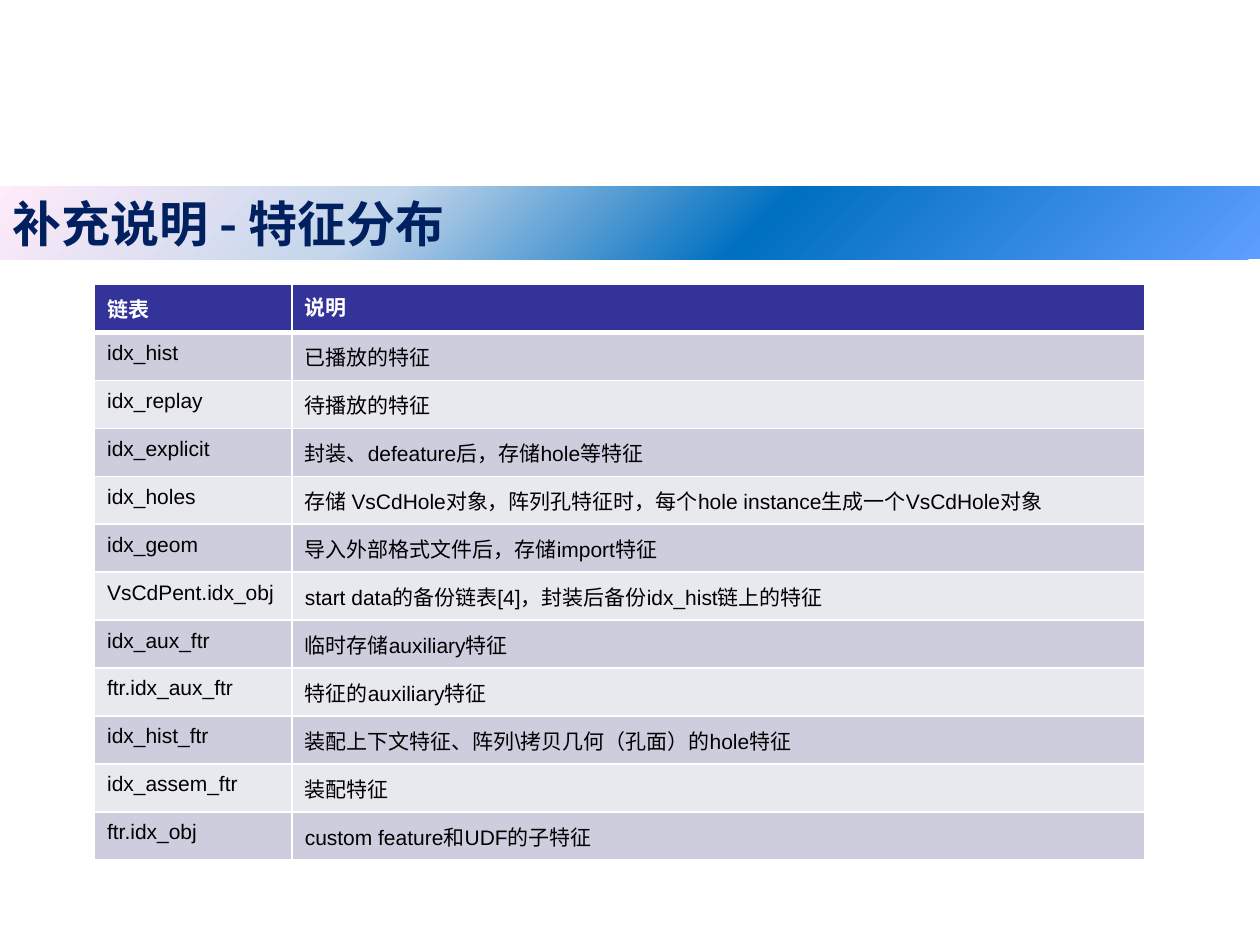
from lxml.etree import SubElement
from pptx import Presentation
from pptx.dml.color import RGBColor
from pptx.enum.shapes import MSO_SHAPE
from pptx.enum.text import MSO_ANCHOR, PP_ALIGN
from pptx.oxml.ns import qn
from pptx.util import Pt

WHITE = RGBColor(0xFF, 0xFF, 0xFF)
BLACK = RGBColor(0x00, 0x00, 0x00)
NAVY = RGBColor(0x00, 0x20, 0x60)
INDIGO = RGBColor(0x33, 0x33, 0x99)
LAVENDER = RGBColor(0xCD, 0xCD, 0xDE)
MIST = RGBColor(0xE8, 0xE8, 0xEF)
BANNER_STOPS = [
    (0, RGBColor(0x5E, 0x9E, 0xFF)),
    (40, RGBColor(0x00, 0x70, 0xC0)),
    (70, RGBColor(0xC4, 0xD6, 0xEB)),
    (100, RGBColor(0xFF, 0xEB, 0xFA)),
]
LATIN_FONT = "Arial"
CHINESE_FONT = "Noto Sans CJK SC"

LISTS = [
    ("链表", "说明"),
    ("idx_hist", "已播放的特征"),
    ("idx_replay", "待播放的特征"),
    ("idx_explicit", "封装、defeature后，存储hole等特征"),
    ("idx_holes", "存储 VsCdHole对象，阵列孔特征时，每个hole instance生成一个VsCdHole对象"),
    ("idx_geom", "导入外部格式文件后，存储import特征"),
    ("VsCdPent.idx_obj", "start data的备份链表[4]，封装后备份idx_hist链上的特征"),
    ("idx_aux_ftr", "临时存储auxiliary特征"),
    ("ftr.idx_aux_ftr", "特征的auxiliary特征"),
    ("idx_hist_ftr", "装配上下文特征、阵列\\拷贝几何（孔面）的hole特征"),
    ("idx_assem_ftr", "装配特征"),
    ("ftr.idx_obj", "custom feature和UDF的子特征"),
]
LOW_ROWS = (4, 9)


def style_text(para, font_name, size, color, bold):
    for span in para.runs:
        span.font.name = font_name
        span.font.size = Pt(size)
        span.font.bold = bold
        span.font.color.rgb = color
        SubElement(span.font._element, qn("a:ea"), typeface=CHINESE_FONT)


def add_color(parent, color):
    SubElement(parent, qn("a:srgbClr"), val=str(color))


def set_gradient(shape, stops, angle):
    shape.fill.gradient()
    gradient = shape._element.spPr.find(qn("a:gradFill"))
    for child in list(gradient):
        gradient.remove(child)
    stop_list = SubElement(gradient, qn("a:gsLst"))
    for percent, color in stops:
        add_color(SubElement(stop_list, qn("a:gs"), pos=str(percent * 1000)), color)
    SubElement(gradient, qn("a:lin"), ang=str(angle * 60000), scaled="0")


def set_borders(cell, top, bottom):
    properties = cell._tc.get_or_add_tcPr()
    for side, width in (("L", 1), ("R", 1), ("T", top), ("B", bottom)):
        line = SubElement(properties, qn(f"a:ln{side}"), w=str(Pt(width)))
        add_color(SubElement(line, qn("a:solidFill")), WHITE)


def add_banner(page, left, top, width, height):
    banner = page.shapes.add_shape(
        MSO_SHAPE.RECTANGLE, Pt(left), Pt(top), Pt(width), Pt(height))
    banner.shadow.inherit = False
    banner.line.fill.background()
    set_gradient(banner, BANNER_STOPS, 225)
    frame = banner.text_frame
    frame.word_wrap = True
    frame.vertical_anchor = MSO_ANCHOR.MIDDLE
    frame.text = "补充说明 - 特征分布"
    para = frame.paragraphs[0]
    para.alignment = PP_ALIGN.LEFT
    style_text(para, CHINESE_FONT, 28, NAVY, True)


def add_list_table(page, left, top, column_widths, row_height, low_height):
    heights = [low_height if index in LOW_ROWS else row_height
               for index in range(len(LISTS))]
    table = page.shapes.add_table(
        len(LISTS), len(column_widths), Pt(left), Pt(top),
        Pt(sum(column_widths)), Pt(sum(heights))).table
    for column, width in zip(table.columns, column_widths):
        column.width = Pt(width)
    for row_index, (row, texts) in enumerate(zip(table.rows, LISTS)):
        row.height = Pt(heights[row_index])
        header = row_index == 0
        fill = INDIGO if header else LAVENDER if row_index % 2 else MIST
        for column_index, (cell, text) in enumerate(zip(row.cells, texts)):
            inset = 3.6 if header and column_index == 1 else 5
            cell.margin_left = cell.margin_right = Pt(7.2)
            cell.margin_top = cell.margin_bottom = Pt(inset)
            set_borders(cell, 3 if row_index == 1 else 1, 3 if header else 1)
            cell.fill.solid()
            cell.fill.fore_color.rgb = fill
            cell.text_frame.text = text
            style_text(cell.text_frame.paragraphs[0], LATIN_FONT, 12,
                       WHITE if header else BLACK, header)


def main():
    deck = Presentation()
    deck.slide_width = Pt(720)
    deck.slide_height = Pt(540)
    page = deck.slides.add_slide(deck.slide_layouts[6])
    add_banner(page, 0, 106.8, 720, 41.4)
    add_list_table(page, 54, 162.5, (113, 487.3), 27.1, 25)
    deck.save("out.pptx")


if __name__ == "__main__":
    main()
